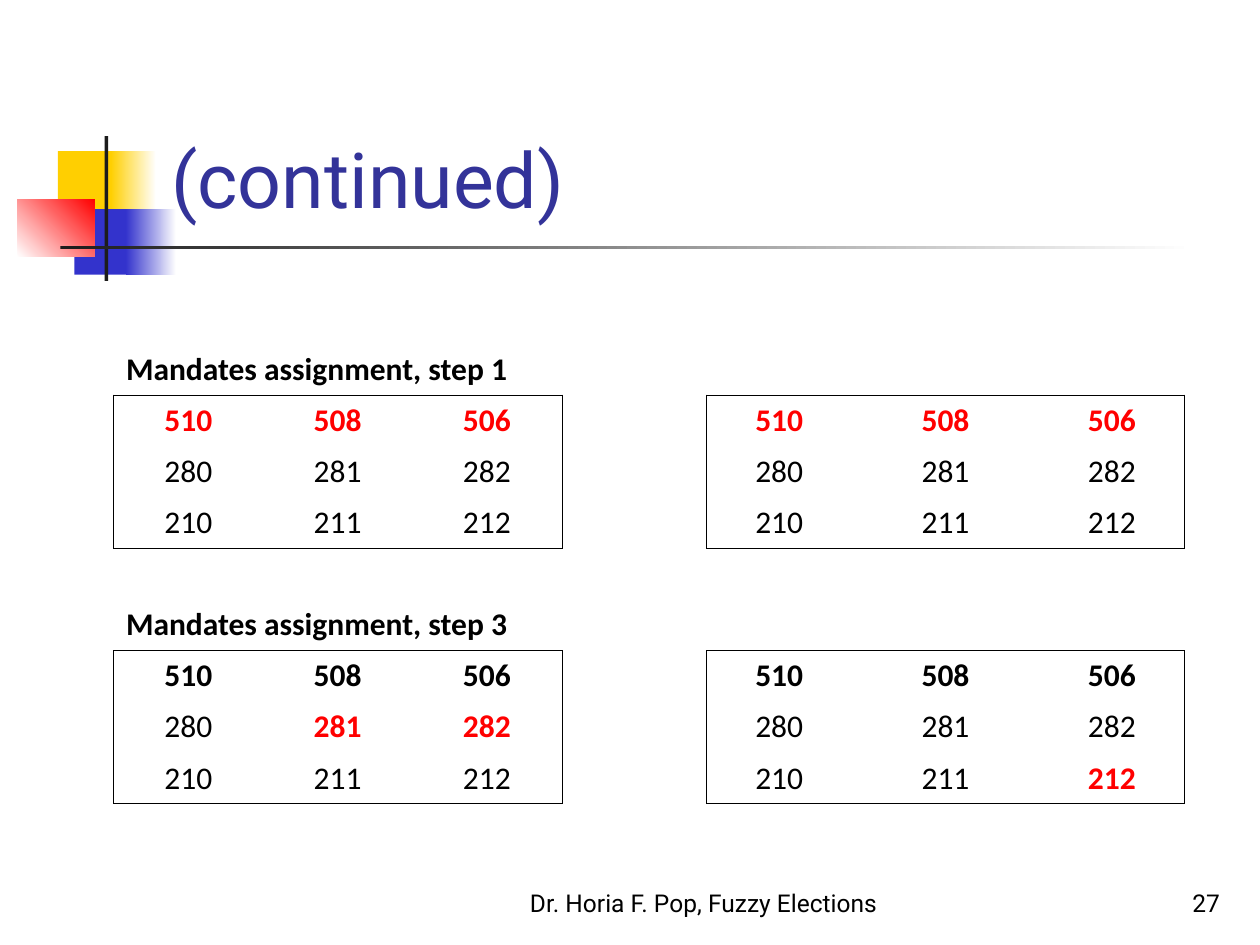
from lxml import etree
from pptx import Presentation
from pptx.dml.color import RGBColor
from pptx.enum import shapes, text
from pptx.oxml import ns
from pptx.util import Inches, Pt

BLACK, RED, WHITE = "000000", "FF0000", "FFFFFF"
YELLOW, BLUE, CHARCOAL = "FFCF01", "3333CC", "1C1C1C"
COLUMNS = [1.19, 1.18, 1.19, 1.15, 1.15, 1.49, 1.15]
ROWS, ROW_HEIGHT = 9, 0.4
MANDATES = [[510, 508, 506], [280, 281, 282], [210, 211, 212]]
LEFT, RIGHT, UPPER, LOWER = 0, 4, 1, 6
# (first row, first column) of each grid, with the values it highlights
GRIDS = {
    (UPPER, LEFT): {510, 508, 506},
    (UPPER, RIGHT): {510, 508, 506},
    (LOWER, LEFT): {281, 282},
    (LOWER, RIGHT): {212},
}
CAPTIONS = {UPPER: "Mandates assignment, step 1", LOWER: "Mandates assignment, step 3"}


def color(value):
    return RGBColor.from_string(value)


def write(frame, words, size, font, fill, align=text.PP_ALIGN.LEFT, bold=False):
    paragraph = frame.paragraphs[0]
    paragraph.text = words
    paragraph.alignment = align
    paragraph.font.size, paragraph.font.name = Pt(size), font
    paragraph.font.bold = bold
    paragraph.font.color.rgb = color(fill)


def add_block(slide, box, fills, angle=0):
    """Add a borderless rectangle, with a gradient when two fills are given."""
    shape = slide.shapes.add_shape(shapes.MSO_SHAPE.RECTANGLE, *map(Inches, box))
    shape.shadow.inherit = False
    shape.line.fill.background()
    if len(fills) == 1:
        shape.fill.solid()
        shape.fill.fore_color.rgb = color(fills[0])
        return
    shape.fill.gradient()
    shape.fill.gradient_angle = angle
    for stop, fill in zip(shape.fill.gradient_stops, fills):
        stop.color.rgb = color(fill)


def add_ornament(slide, left, top):
    blocks = [
        (0.32, 0.12, 0.48, 0.52, [YELLOW], 0),
        (0.74, 0.12, 0.36, 0.52, [YELLOW, WHITE], 0),
        (0.45, 0.58, 0.46, 0.52, [BLUE], 0),
        (0.86, 0.58, 0.4, 0.52, [BLUE, WHITE], 0),
        (0, 0.5, 0.61, 0.46, [WHITE, RED], 45),
        (0.69, 0, 0.03, 1.15, [CHARCOAL], 0),
        (0.34, 0.87, 9, 0.03, [CHARCOAL, WHITE], 0),
    ]
    for x, y, width, height, fills, angle in blocks:
        add_block(slide, (left + x, top + y, width, height), fills, angle)


def add_title(slide, box):
    title = slide.shapes.title
    title.left, title.top, title.width, title.height = map(Inches, box)
    title.text_frame.vertical_anchor = text.MSO_ANCHOR.BOTTOM
    title.text_frame.auto_size = text.MSO_AUTO_SIZE.NONE
    write(title.text_frame, "(continued)", 44, "Roboto", "333399")
    title.element.getparent().append(title.element)  # in front of the ornament


def add_footer(slide, box, words, align):
    frame = slide.shapes.add_textbox(*map(Inches, box)).text_frame
    frame.word_wrap = True
    frame.vertical_anchor = text.MSO_ANCHOR.BOTTOM
    write(frame, words, 14, "Roboto", BLACK, align)


def in_grid(row, column):
    return any(
        top <= row < top + 3 and left <= column < left + 3 for top, left in GRIDS
    )


def set_borders(cell, row, column):
    """Draw a line on each side where a grid meets its surroundings."""
    sides = {"L": (0, -1), "R": (0, 1), "T": (-1, 0), "B": (1, 0)}
    properties = cell._tc.get_or_add_tcPr()
    for side, (down, across) in sides.items():
        line = etree.SubElement(properties, ns.qn(f"a:ln{side}"), w=str(Pt(0.45)))
        if in_grid(row, column) != in_grid(row + down, column + across):
            fill = etree.SubElement(line, ns.qn("a:solidFill"))
            etree.SubElement(fill, ns.qn("a:srgbClr"), val=BLACK)
        else:
            etree.SubElement(line, ns.qn("a:noFill"))


def add_mandates(slide, left, top):
    table = slide.shapes.add_table(
        ROWS, len(COLUMNS), Inches(left), Inches(top),
        Inches(sum(COLUMNS)), Inches(ROWS * ROW_HEIGHT),
    ).table
    table.first_row = table.horz_banding = False
    for column, width in zip(table.columns, COLUMNS):
        column.width = Inches(width)
    for y, row in enumerate(table.rows):
        row.height = Inches(ROW_HEIGHT)
        for x, cell in enumerate(row.cells):
            set_borders(cell, y, x)
            cell.fill.background()
            cell.vertical_anchor = text.MSO_ANCHOR.BOTTOM
    for start, caption in CAPTIONS.items():
        cell = table.cell(start - 1, 0)
        cell.merge(table.cell(start - 1, 2))
        write(cell.text_frame, caption, 18, "Calibri", BLACK, bold=True)
    for (first_row, first_column), highlights in GRIDS.items():
        for y, values in enumerate(MANDATES):
            for x, value in enumerate(values):
                marked = value in highlights
                write(
                    table.cell(first_row + y, first_column + x).text_frame,
                    str(value), 18, "Calibri", RED if marked else BLACK,
                    text.PP_ALIGN.CENTER, bold=marked or y == 0,
                )


def main():
    presentation = Presentation()
    presentation.slide_width, presentation.slide_height = Inches(10), Inches(7.5)
    slide = presentation.slides.add_slide(presentation.slide_layouts[5])
    add_ornament(slide, 0.14, 1.08)
    add_footer(slide, (4, 6.83, 3.17, 0.5), "Dr. Horia F. Pop, Fuzzy Elections",
               text.PP_ALIGN.CENTER)
    add_footer(slide, (7.7, 6.83, 2.08, 0.5), "27", text.PP_ALIGN.RIGHT)
    add_title(slide, (1.26, 0.23, 8.52, 1.6))
    add_mandates(slide, 0.9, 2.73)
    presentation.save("out.pptx")


if __name__ == "__main__":
    main()
